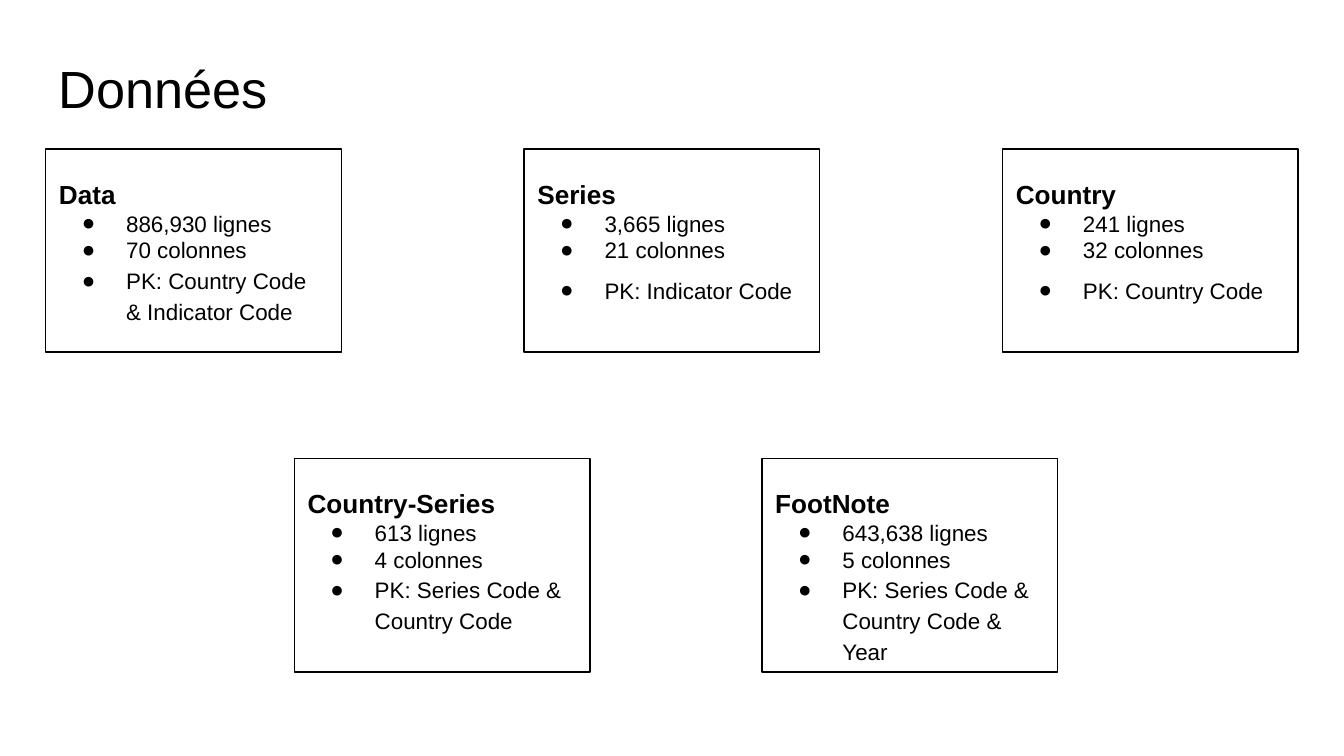
from lxml import etree
from pptx import Presentation
from pptx import util as u
from pptx.dml.color import RGBColor
from pptx.enum import shapes, text
from pptx.oxml.ns import qn

BLACK = RGBColor(0x00, 0x00, 0x00)
WHITE = RGBColor(0xFF, 0xFF, 0xFF)

TITLE_FONT = {"name": "Arial", "size": u.Pt(28), "bold": False}
HEADING_FONT = {"name": "Arial", "size": u.Pt(14), "bold": True}
ITEM_FONT = {"name": "Arial", "size": u.Pt(12), "bold": False}
FRAME_FORMAT = {
    "word_wrap": True,
    "vertical_anchor": text.MSO_ANCHOR.TOP,
    "margin_left": u.Inches(0.1),
    "margin_top": u.Inches(0.1),
    "margin_right": u.Inches(0.12),
    "margin_bottom": u.Inches(0.1),
}

CARD_WIDTH = 2.2
# Each row: left, top, step, height, then (name, rows, columns, key, key line spacing)
CARD_ROWS = [
    (0.34, 1.11, 3.56, 1.51, [
        ("Data", "886,930", 70, "Country Code & Indicator Code", 1.15),
        ("Series", "3,665", 21, "Indicator Code", 1.5),
        ("Country", "241", 32, "Country Code", 1.5),
    ]),
    (2.19, 3.41, 3.48, 1.59, [
        ("Country-Series", "613", 4, "Series Code & Country Code", 1.15),
        ("FootNote", "643,638", 5, "Series Code & Country Code & Year", 1.15),
    ]),
]


def set_values(target, values):
    for name, value in values.items():
        setattr(target, name, value)


def write_paragraph(paragraph, content, font, line_spacing=1.0):
    paragraph.alignment = text.PP_ALIGN.LEFT
    paragraph.line_spacing = line_spacing
    run = paragraph.add_run()
    run.text = content
    set_values(run.font, font)
    run.font.color.rgb = BLACK


def add_bullet(paragraph):
    properties = paragraph._p.get_or_add_pPr()
    properties.set("marL", str(u.Inches(0.5)))
    properties.set("indent", str(u.Inches(-0.33)))
    color = etree.SubElement(properties, qn("a:buClr"))
    etree.SubElement(color, qn("a:srgbClr"), val=str(BLACK))
    etree.SubElement(properties, qn("a:buFont"), typeface="Arial")
    etree.SubElement(properties, qn("a:buChar"), char="●")


def add_title(slide, box, content):
    title = slide.shapes.add_textbox(*map(u.Inches, box))
    set_values(title.text_frame, FRAME_FORMAT)
    write_paragraph(title.text_frame.paragraphs[0], content, TITLE_FONT)


def add_table_card(slide, box, name, rows, columns, key, key_spacing):
    card = slide.shapes.add_shape(shapes.MSO_SHAPE.RECTANGLE, *map(u.Inches, box))
    card.shadow.inherit = False
    card.fill.background()
    card.line.color.rgb = BLACK
    card.line.width = u.Pt(0.75)

    frame = card.text_frame
    set_values(frame, FRAME_FORMAT)
    write_paragraph(frame.paragraphs[0], name, HEADING_FONT, 1.5)
    items = [(f"{rows} lignes", 1.0), (f"{columns} colonnes", 1.0),
             (f"PK: {key}", key_spacing)]
    for content, spacing in items:
        paragraph = frame.add_paragraph()
        write_paragraph(paragraph, content, ITEM_FONT, spacing)
        add_bullet(paragraph)


def add_card_row(slide, left, top, step, height, cards):
    for index, card in enumerate(cards):
        box = (left + index * step, top, CARD_WIDTH, height)
        add_table_card(slide, box, *card)


def main():
    presentation = Presentation()
    # Widescreen 16:9
    presentation.slide_width = u.Inches(10)
    presentation.slide_height = u.Inches(10 * 9 / 16)
    slide = presentation.slides.add_slide(presentation.slide_layouts[6])
    slide.background.fill.solid()
    slide.background.fill.fore_color.rgb = WHITE

    # Title
    add_title(slide, (0.34, 0.32, 9.32, 0.63), "Données")

    # Dataset cards
    for row in CARD_ROWS:
        add_card_row(slide, *row)

    presentation.save("out.pptx")


if __name__ == "__main__":
    main()
